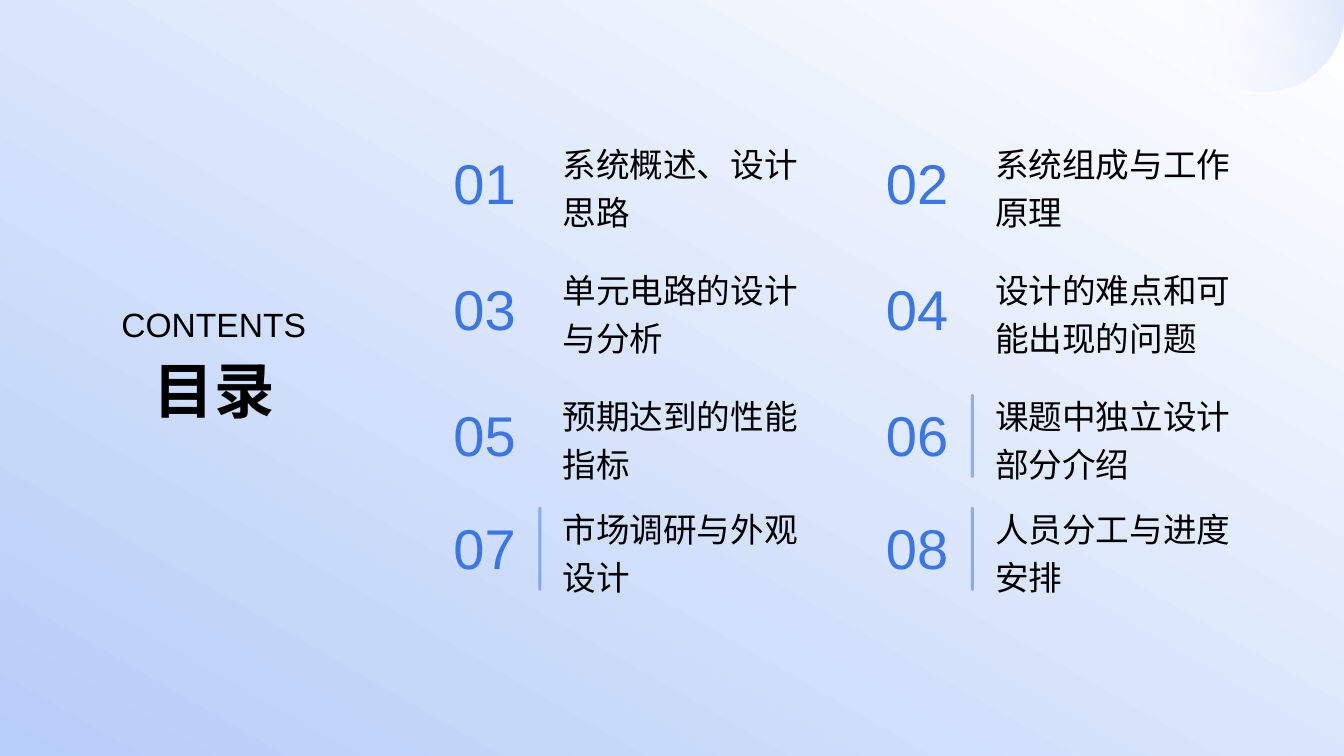
from math import cos, radians, sin

from lxml.etree import SubElement
from pptx import Presentation
from pptx.dml.color import RGBColor as Rgb
from pptx.enum.shapes import MSO_SHAPE as Kind
from pptx.enum.text import MSO_ANCHOR as Anchor, MSO_AUTO_SIZE as Fit, PP_ALIGN as Align
from pptx.oxml.ns import qn
from pptx.util import Inches, Pt

HUES = {"blue": "3A76E9", "sky": "B6CDF8", "white": "FFFFFF", "black": "000000"}
ROWS = [1.33, 2.58, 3.83, 4.95]
COLS = [4.48, 8.77]
TOPICS = [
    "系统概述、设计思路", "系统组成与工作原理",
    "单元电路的设计与分析", "设计的难点和可能出现的问题",
    "预期达到的性能指标", "课题中独立设计部分介绍",
    "市场调研与外观设计", "人员分工与进度安排",
]
BARRED = {6, 7, 8}
NUMBER = {"size": 40, "hue": "blue", "space": 1.09, "align": Align.CENTER,
          "anchor": Anchor.MIDDLE, "wrap": False}
TOPIC = {"size": 24, "space": 1.18, "anchor": Anchor.MIDDLE}
LABEL = {"size": 24, "space": 1.25, "align": Align.CENTER}
TITLE = {"size": 43.2, "space": 1.04, "align": Align.CENTER, "bold": True}


def color(hue):
    """Return the named colour."""
    return Rgb.from_string(HUES[hue])


def fade(fill, alphas):
    """Give each colour of a fill its opacity in percent."""
    for tint, alpha in zip(fill.iter(qn("a:srgbClr")), alphas):
        SubElement(tint, qn("a:alpha")).set("val", str(alpha * 1000))


def blend(fill, hues, angle):
    """Make a two-colour gradient."""
    fill.gradient()
    fill.gradient_angle = angle
    for stop, hue in zip(fill.gradient_stops, hues):
        stop.color.rgb = color(hue)


def write(box, text, look):
    """Fill a text shape and format it."""
    frame = box.text_frame
    frame.text = text
    para = frame.paragraphs[0]
    shape = {"margin_left": 0, "margin_top": 0, "margin_right": 0, "margin_bottom": 0,
             "auto_size": Fit.NONE, "word_wrap": look.get("wrap", True),
             "vertical_anchor": look.get("anchor", Anchor.TOP)}
    line = {"alignment": look.get("align", Align.LEFT), "line_spacing": look["space"]}
    font = {"name": "Arial", "size": Pt(look["size"]), "bold": look.get("bold", False)}
    for target, values in ((frame, shape), (para, line), (para.font, font)):
        for key, value in values.items():
            setattr(target, key, value)
    para.font.color.rgb = color(look.get("hue", "black"))


def add_text(slide, at, text, look):
    """Add a formatted text box."""
    write(slide.shapes.add_textbox(*map(Inches, at)), text, look)


def add_bar(slide, left, top):
    """Add a thin, half-clear rounded divider."""
    bar = slide.shapes.add_shape(
        Kind.ROUNDED_RECTANGLE, *map(Inches, (left, top, 0.03, 0.83)))
    bar.adjustments[0] = 0.5
    bar.shadow.inherit = False
    bar.fill.solid()
    bar.fill.fore_color.rgb = color("blue")
    bar.line.fill.background()
    fade(bar.element.spPr, [50])


def add_disc(slide):
    """Add the pale disc cut off by the top edge."""
    mid, drop, size = 12.52, 0.1, 0.81
    rim = [(Inches(mid + size * cos(radians(turn))),
            Inches(max(0, drop + size * sin(radians(turn)))))
           for turn in range(-7, 188, 2)]
    form = slide.shapes.build_freeform(*rim[0])
    form.add_line_segments(rim[1:], close=True)
    disc = form.convert_to_shape()
    disc.shadow.inherit = False
    disc.line.fill.background()
    blend(disc.fill, ("blue", "white"), 195)
    fade(disc.element.spPr, (17, 0))


def add_item(slide, index, topic):
    """Add one numbered entry of the contents grid."""
    row, col = divmod(index, len(COLS))
    top, left = ROWS[row], COLS[col]
    add_text(slide, (left, top + 0.17, 0.65, 0.56), f"{index + 1:02}", NUMBER)
    if index + 1 in BARRED:
        add_bar(slide, left + 0.86, top + 0.08)
    add_text(slide, (left + 1.1, top, 2.54, 1), topic, TOPIC)


def main():
    """Build and save the contents slide."""
    deck = Presentation()
    deck.slide_width, deck.slide_height = Inches(13.33), Inches(7.5)
    slide = deck.slides.add_slide(deck.slide_layouts[5])
    blend(slide.background.fill, ("sky", "white"), 60)
    add_disc(slide)
    add_text(slide, (0.83, 2.92, 2.58, 0.5), "CONTENTS", LABEL)
    title = slide.shapes.title
    title.left, title.top, title.width, title.height = map(Inches, (0.83, 3.47, 2.59, 0.83))
    write(title, "目录", TITLE)
    for index, topic in enumerate(TOPICS):
        add_item(slide, index, topic)
    deck.save("out.pptx")


if __name__ == "__main__":
    main()
